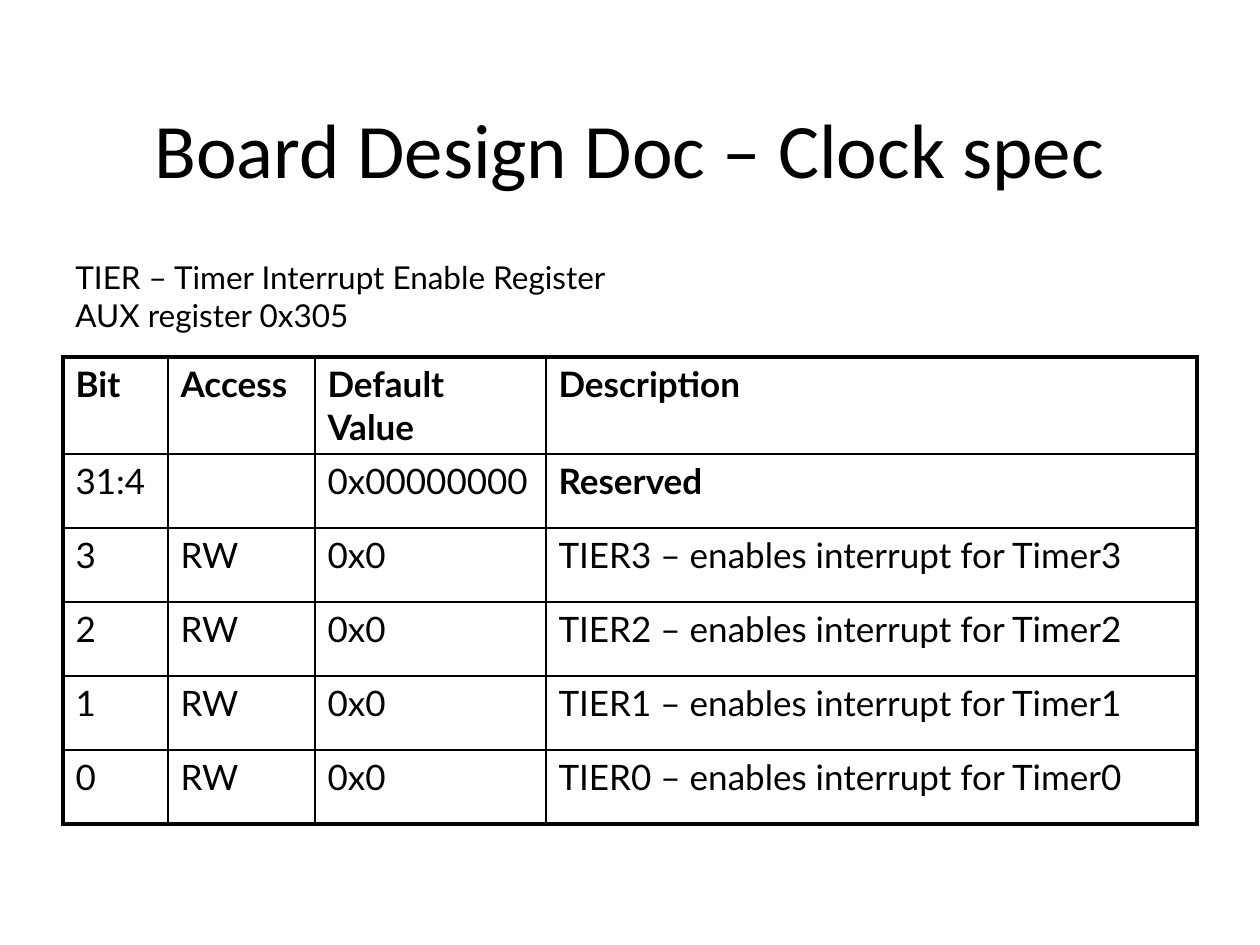
from dataclasses import dataclass

from lxml.etree import SubElement
from pptx import Presentation
from pptx.dml.color import RGBColor
from pptx.enum.text import MSO_ANCHOR as ANCHOR, PP_ALIGN as ALIGN
from pptx.oxml.ns import qn
from pptx.util import Emu, Pt

PX_PER_INCH = 126


def px(n):
    return Emu(round(n * 914400 / PX_PER_INCH))


@dataclass(frozen=True)
class Theme:
    ink: str = "000000"
    title_font: str = "Calibri"
    body_font: str = "Lato"
    title_size: int = 44
    note_size: int = 18
    cell_size: int = 20
    frame_width: float = 2.25
    grid_width: float = 1


def write(tf, text, *, font, size, color, bold=False, align=ALIGN.LEFT, anchor=ANCHOR.TOP):
    """Fill a text frame, one paragraph for each line of text."""
    tf.word_wrap = True
    tf.vertical_anchor = anchor
    for i, line in enumerate(text.split("\n")):
        p = tf.add_paragraph() if i else tf.paragraphs[0]
        p.alignment = align
        r = p.add_run()
        r.text = line
        r.font.name = font
        r.font.size = Pt(size)
        r.font.bold = bold
        r.font.color.rgb = RGBColor.from_string(color)


class Deck:
    def __init__(self, theme, width, height):
        self.theme = theme
        self.prs = Presentation()
        self.prs.slide_width, self.prs.slide_height = px(width), px(height)
        self.s = self.prs.slides.add_slide(self.prs.slide_layouts[6])

    def text(self, text, x, y, w, h, **fmt):
        sp = self.s.shapes.add_textbox(px(x), px(y), px(w), px(h))
        write(sp.text_frame, text, color=self.theme.ink, **fmt)

    def border(self, cell, index, side, width):
        tc_pr = cell._tc.get_or_add_tcPr()
        ln = SubElement(tc_pr, qn(f"a:ln{side}"), w=str(Pt(width)))
        fill = SubElement(ln, qn("a:solidFill"))
        SubElement(fill, qn("a:srgbClr"), val=self.theme.ink)
        tc_pr.insert(index, ln)

    def table(self, rows, x, y, widths, heights, bold):
        t = self.theme
        last_row, last_col = len(heights) - 1, len(widths) - 1
        table = self.s.shapes.add_table(
            len(heights), len(widths), px(x), px(y), px(sum(widths)), px(sum(heights))
        ).table
        table.first_row = table.horz_banding = False
        for column, w in zip(table.columns, widths):
            column.width = px(w)
        for row, h in zip(table.rows, heights):
            row.height = px(h)

        for i, row in enumerate(rows):
            for j, text in enumerate(row):
                cell = table.cell(i, j)
                cell.fill.background()
                if text:
                    write(cell.text_frame, text, font=t.body_font, size=t.cell_size,
                          color=t.ink, bold=i == 0 or text in bold)
                # Heavy outer frame, thin inner grid
                outer = {"L": j == 0, "R": j == last_col, "T": i == 0, "B": i == last_row}
                for index, (side, heavy) in enumerate(outer.items()):
                    self.border(cell, index, side, t.frame_width if heavy else t.grid_width)


def main():
    theme = Theme()
    deck = Deck(theme, 1260, 945)

    # Title
    deck.text("Board Design Doc – Clock spec", 63, 53, 1134, 189, font=theme.title_font,
              size=theme.title_size, align=ALIGN.CENTER, anchor=ANCHOR.MIDDLE)

    # Register bits
    rows = [
        ("Bit", "Access", "Default Value", "Description"),
        ("31:4", "", "0x00000000", "Reserved"),
    ]
    rows += [(str(n), "RW", "0x0", f"TIER{n} – enables interrupt for Timer{n}")
             for n in range(3, -1, -1)]
    deck.table(rows, 63, 357, widths=[105, 147, 231, 651], heights=[97] + [74] * 5,
               bold={"Reserved"})

    # Register name and address
    deck.text("TIER – Timer Interrupt Enable Register\nAUX register 0x305", 63, 252, 1040, 88,
              font=theme.body_font, size=theme.note_size)

    deck.prs.save("out.pptx")


if __name__ == "__main__":
    main()
